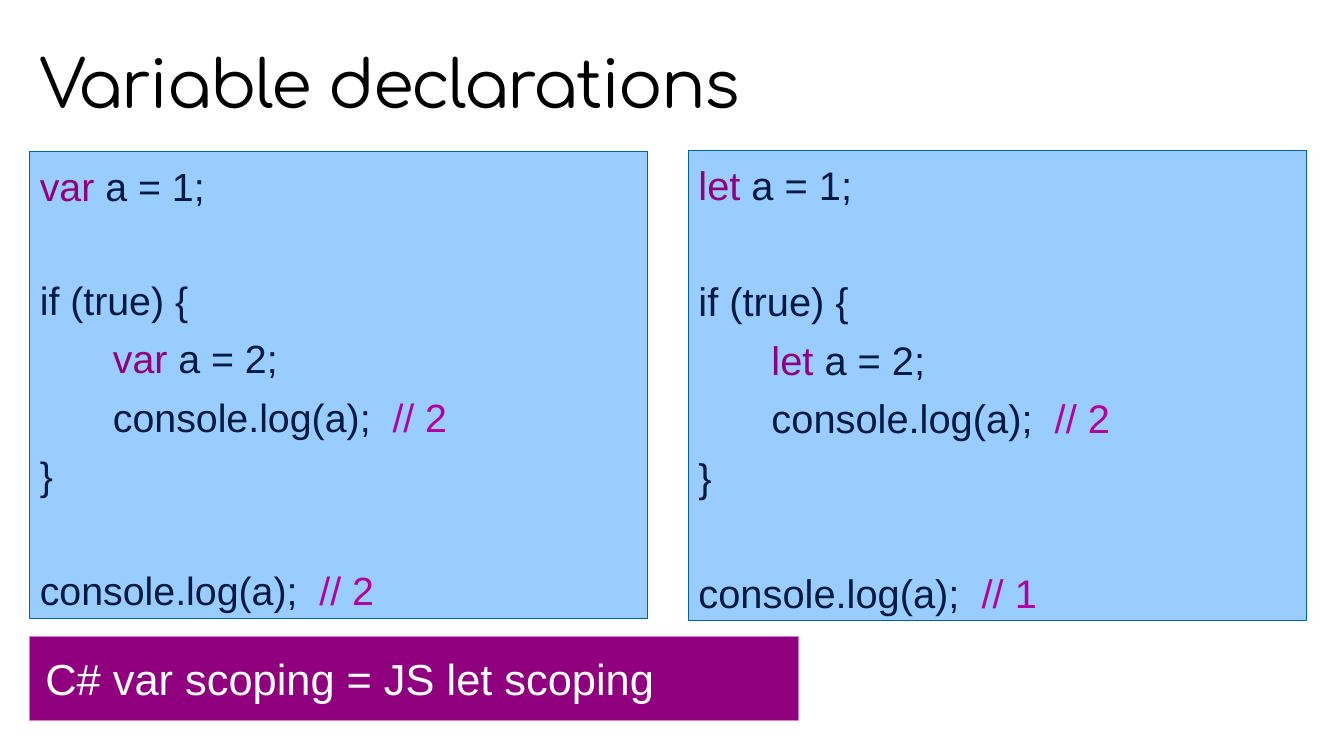
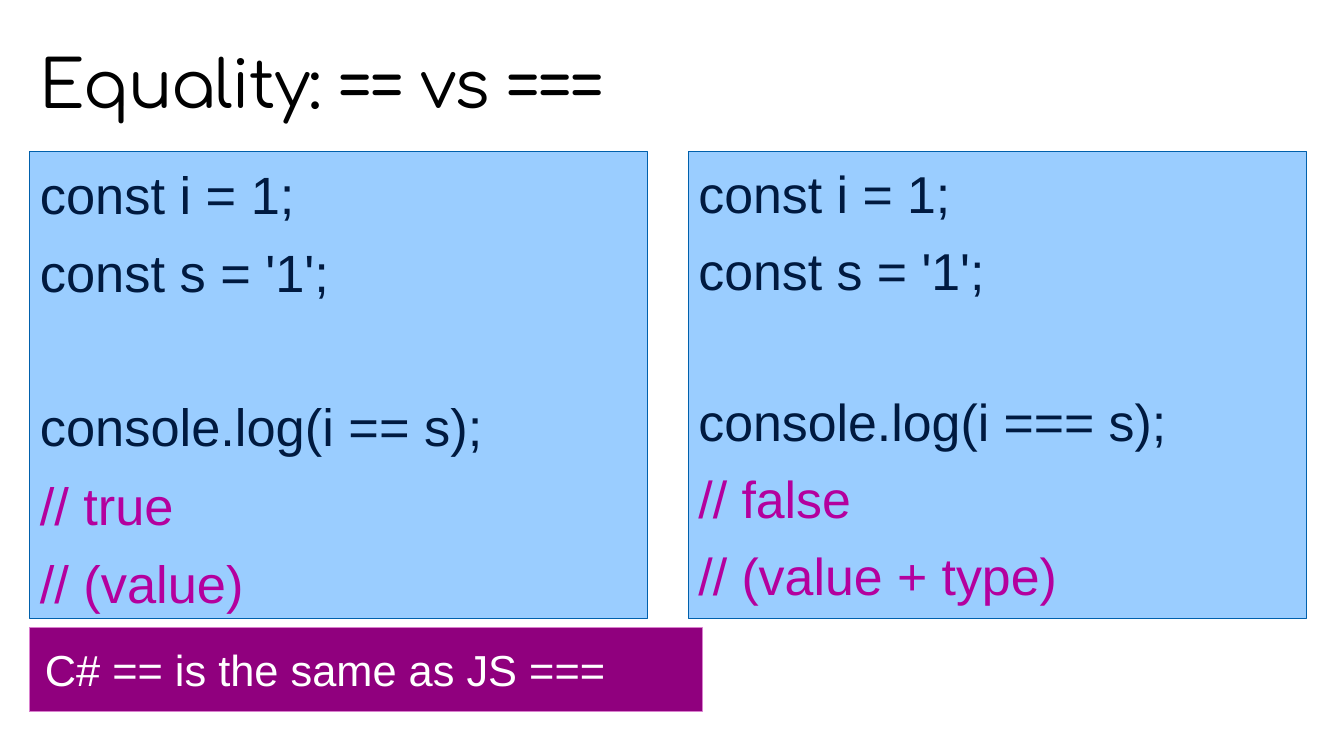
import pptx
import pptx.util
import pptx.dml.color
import pptx.enum.shapes
import pptx.enum.text

Inches, Pt = pptx.util.Inches, pptx.util.Pt
ANCHOR = pptx.enum.text.MSO_ANCHOR
LEFT = pptx.enum.text.PP_ALIGN.LEFT

# Shared colours and measures
BLACK, WHITE = "000000", "FFFFFF"
CODE, KEYWORD, COMMENT = "001A40", "90007E", "B4009E"
PANEL, PANEL_EDGE = "9ACDFF", "0060AC"
BAND, BAND_EDGE = "90007E", "D97FCE"
LINE_HEIGHT = 1.149  # Arial line height per point of size
CODE_INDENT = 1.45


def rgb(value):
    return pptx.dml.color.RGBColor.from_string(value)


def write(paragraph, text, size, colour, font="Arial", spacing=None):
    run = paragraph.add_run()
    run.text = text
    run.font.name = font
    run.font.size = Pt(size)
    run.font.color.rgb = rgb(colour)
    if spacing is not None:
        run.font._element.set("spc", str(spacing * 100))


# Code lines: each line is a list of (text, colour); an empty list skips a
# line, and a leading tab indents it
var_code, let_code = [
    [
        [(keyword, KEYWORD), (" a = 1;", CODE)],
        [],
        [("if (true) {", CODE)],
        [("\t" + keyword, KEYWORD), (" a = 2;", CODE)],
        [("\tconsole.log(a);  ", CODE), ("// 2", COMMENT)],
        [("}", CODE)],
        [],
        [("console.log(a);  ", CODE), (outer_value, COMMENT)],
    ]
    for keyword, outer_value in [("var", "// 2"), ("let", "// 1")]
]
loose_code, strict_code = [
    [
        [("const i = 1;", CODE)],
        [("const s = '1';", CODE)],
        [],
        [(f"console.log(i {operator} s);", CODE)],
        [(result, COMMENT)],
        [(compared, COMMENT)],
    ]
    for operator, result, compared in [
        ("==", "// true", "// (value)"),
        ("===", "// false", "// (value + type)"),
    ]
]

# Per slide: title, code panels (left, top, height, size, gap, lines),
# takeaway (left, top, width, text)
topics = [
    (
        "Variable declarations",
        [(0.59, 3.01, 9.26, 56.2, 15.8, var_code),
         (13.66, 2.98, 9.32, 56.9, 16, let_code)],
        (0.59, 12.62, 15.25, "C# var scoping = JS let scoping"),
    ),
    (
        "Equality: == vs ===",
        [(0.59, 3.01, 9.26, 74.9, 22.2, loose_code),
         (13.66, 3.01, 9.26, 74.1, 20.9, strict_code)],
        (0.58, 12.45, 13.35, "C# == is the same as JS ==="),
    ),
]

deck = pptx.Presentation()
deck.slide_width, deck.slide_height = Inches(26.67), Inches(15)

for heading, panels, (band_left, band_top, band_width, takeaway) in topics:
    slide = deck.slides.add_slide(deck.slide_layouts[5])

    # Title
    title = slide.shapes.title
    title.left, title.top = Inches(0.59), Inches(0.64)
    title.width, title.height = Inches(25.5), Inches(2.19)
    frame = title.text_frame
    frame.margin_left = frame.margin_right = Inches(0.19)
    frame.margin_top = frame.margin_bottom = Inches(0.19)
    frame.vertical_anchor = ANCHOR.MIDDLE
    frame.paragraphs[0].alignment = LEFT
    frame.paragraphs[0].line_spacing = 0.9
    write(frame.paragraphs[0], heading, size=94, colour=BLACK,
          font="Comfortaa", spacing=-2)

    # Code panels and the takeaway band below them
    boxes = [
        (left, top, 12.26, height, PANEL, PANEL_EDGE, 0.2, ANCHOR.TOP,
         size, gap, lines)
        for left, top, height, size, gap, lines in panels
    ]
    boxes.append((band_left, band_top, band_width, 1.67, BAND, BAND_EDGE, 0.31,
                  ANCHOR.MIDDLE, 62, 0, [[(takeaway, WHITE)]]))

    for (left, top, width, height, fill, edge, inset, anchor,
         size, gap, lines) in boxes:
        box = slide.shapes.add_shape(
            pptx.enum.shapes.MSO_SHAPE.RECTANGLE,
            Inches(left), Inches(top), Inches(width), Inches(height))
        box.shadow.inherit = False
        box.fill.solid()
        box.fill.fore_color.rgb = rgb(fill)
        box.line.color.rgb = rgb(edge)
        box.line.width = Pt(1)
        frame = box.text_frame
        frame.word_wrap = True
        frame.vertical_anchor = anchor
        frame.margin_left = frame.margin_right = Inches(inset)
        frame.margin_top = frame.margin_bottom = Inches(inset)

        space = 0
        for number, line in enumerate(lines):
            if not line:
                space += gap + size * LINE_HEIGHT
                continue
            paragraph = frame.add_paragraph() if number else frame.paragraphs[0]
            paragraph.alignment = LEFT
            paragraph.space_before = Pt(round(space, 1))
            if line[0][0].startswith("\t"):
                paragraph._p.get_or_add_pPr().set("marL", str(Inches(CODE_INDENT)))
            for text, colour in line:
                write(paragraph, text.lstrip("\t"), size=size, colour=colour)
            space = gap

deck.save("out.pptx")
